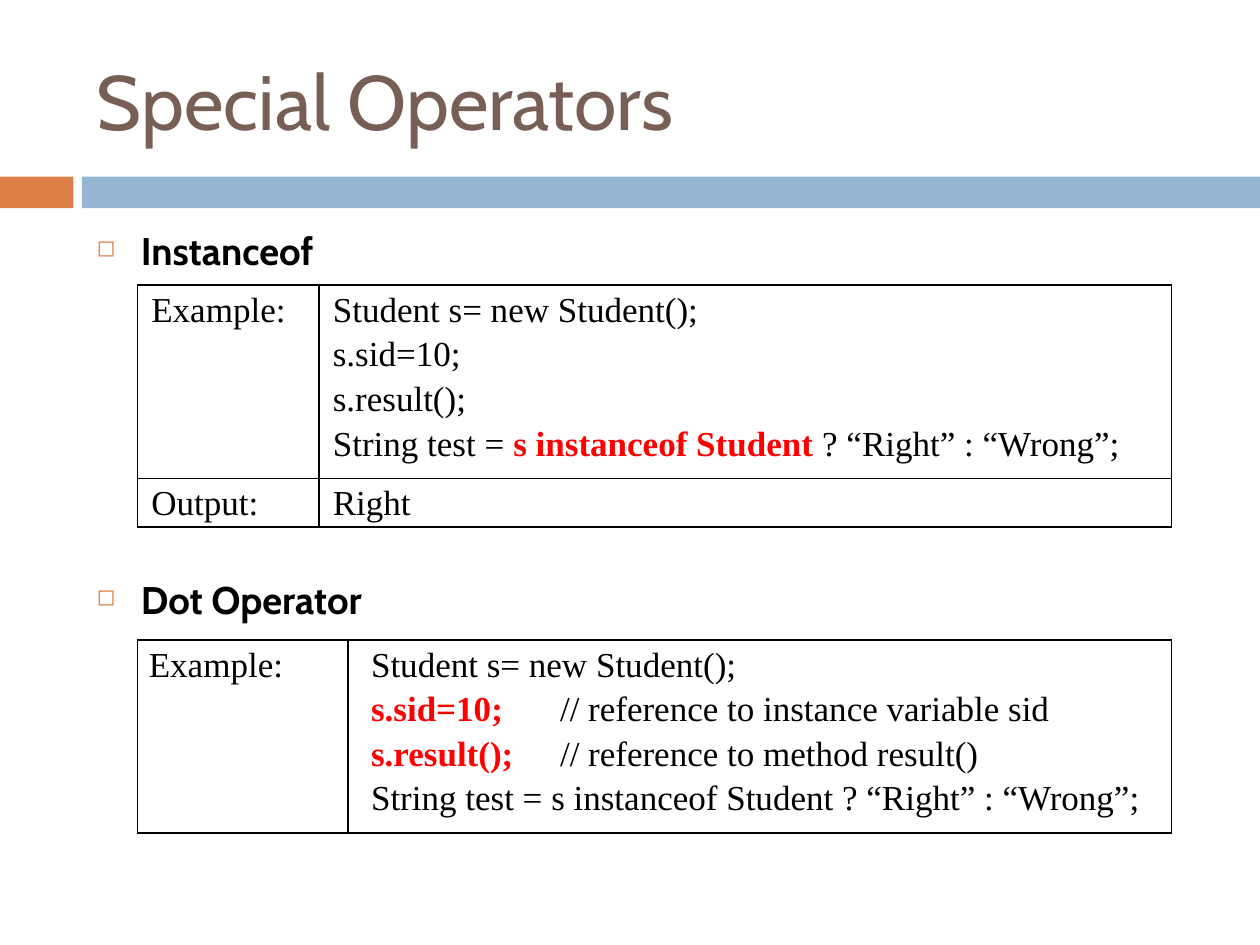
from lxml import etree
from pptx import Presentation
from pptx import util as u
from pptx.dml import color
from pptx.enum import shapes, text
from pptx.oxml import ns

BLACK, RED, ORANGE, BLUE, BROWN = "000000", "FF0000", "DD8047", "94B6D2", "775F55"
HEADING = {"name": "Cabin", "size": u.Pt(22), "bold": True}
CODE = {"name": "Times New Roman", "size": u.Pt(20), "bold": False}
MARKED = {**CODE, "bold": True}
NEW_STUDENT = [("Student s= new Student();", False)]


def rgb(value):
    return color.RGBColor.from_string(value)


def set_values(target, values):
    for name, value in values.items():
        setattr(target, name, value)


def add_span(para, words, style, colour):
    span = para.add_run()
    span.text = words
    set_values(span.font, style)
    span.font.color.rgb = rgb(colour)


def add_child(parent, tag, position=None, **attributes):
    child = etree.Element(ns.qn(tag), attributes)
    parent.insert(len(parent) if position is None else position, child)
    return child


def add_bar(page, left, width, colour):
    bar = page.shapes.add_shape(shapes.MSO_SHAPE.RECTANGLE, u.Cm(left), u.Cm(3.56),
                                u.Cm(width), u.Cm(0.64))
    bar.shadow.inherit = False
    bar.fill.solid()
    bar.fill.fore_color.rgb = rgb(colour)
    bar.line.fill.background()


def format_title(page, words):
    title = page.shapes.title
    set_values(title, {"left": u.Cm(1.7), "top": u.Cm(0.64),
                       "width": u.Cm(22.66), "height": u.Cm(2.74)})
    title.text_frame.vertical_anchor = text.MSO_ANCHOR.MIDDLE
    para = title.text_frame.paragraphs[0]
    para.alignment = text.PP_ALIGN.LEFT
    add_span(para, words, {"name": "Cabin", "size": u.Pt(44)}, BROWN)


def add_bullet(para):
    properties = para._p.get_or_add_pPr()
    properties.set("marL", str(u.Cm(0.89)))
    properties.set("indent", str(-u.Cm(0.89)))
    add_child(add_child(properties, "a:buClr"), "a:srgbClr", val=ORANGE)
    add_child(properties, "a:buSzPct", val="60000")
    add_child(properties, "a:buChar", char="◻")


def add_headings(page, headings, gap):
    box = page.shapes.add_textbox(u.Cm(1.7), u.Cm(4.45), u.Cm(22.66), u.Cm(12.5))
    frame = box.text_frame
    frame.word_wrap = True
    for index, words in enumerate(headings):
        para = frame.add_paragraph() if index else frame.paragraphs[0]
        if index:
            para.space_before = u.Pt(gap)
        add_bullet(para)
        add_span(para, words, HEADING, BLACK)


def add_borders(cell):
    properties = cell._tc.get_or_add_tcPr()
    for position, side in enumerate(("a:lnL", "a:lnR", "a:lnT", "a:lnB")):
        line = add_child(properties, side, position, w=str(u.Pt(1)))
        add_child(add_child(line, "a:solidFill"), "a:srgbClr", val=BLACK)


def fill_cell(cell, lines, margin, indent):
    """Write lines, each a list of (words, is_marked) parts, into a bordered cell."""
    set_values(cell, {"margin_left": u.Cm(margin), "margin_right": u.Cm(margin),
                      "margin_top": 0, "margin_bottom": 0})
    cell.fill.background()
    add_borders(cell)
    for index, parts in enumerate(lines):
        frame = cell.text_frame
        para = frame.add_paragraph() if index else frame.paragraphs[0]
        set_values(para, {"alignment": text.PP_ALIGN.JUSTIFY, "line_spacing": 1.15})
        para._p.get_or_add_pPr().set("marL", str(u.Cm(indent)))
        for words, marked in parts:
            add_span(para, words, MARKED if marked else CODE, RED if marked else BLACK)


def add_code_table(page, top, label_width, heights, rows, margin, indent=0):
    """Add a table from (label, code lines) rows; indent applies to the code."""
    width = 20.85
    frame = page.shapes.add_table(len(rows), 2, u.Cm(2.77), u.Cm(top),
                                  u.Cm(width), u.Cm(sum(heights)))
    table = frame.table
    set_values(table, {"first_row": False, "horz_banding": False})
    table.columns[0].width = u.Cm(label_width)
    table.columns[1].width = u.Cm(width - label_width)
    for index, (label, lines) in enumerate(rows):
        table.rows[index].height = u.Cm(heights[index])
        fill_cell(table.cell(index, 0), [[(label, False)]], margin, 0)
        fill_cell(table.cell(index, 1), lines, margin, indent)


def main():
    deck = Presentation()
    deck.slide_width, deck.slide_height = u.Cm(25.4), u.Cm(19.05)
    page = deck.slides.add_slide(deck.slide_layouts.get_by_name("Title Only"))
    add_bar(page, 0, 1.48, ORANGE)
    add_bar(page, 1.65, 23.75, BLUE)
    format_title(page, "Special Operators")
    add_headings(page, ["Instanceof", "Dot Operator"], gap=173)

    instanceof_code = [
        NEW_STUDENT,
        [("s.sid=10;", False)],
        [("s.result();", False)],
        [("String test = ", False), ("s instanceof Student ", True),
         ("? “Right” : “Wrong”;", False)],
    ]
    add_code_table(page, 5.75, 3.66, [3.6, 0.9],
                   [("Example:", instanceof_code), ("Output:", [[("Right", False)]])],
                   margin=0.28)

    dot_code = [
        NEW_STUDENT,
        [("s.sid=10;", True), ("\t// reference to instance variable sid", False)],
        [("s.result();", True), ("\t// reference to method result()", False)],
        [("String test = s instanceof Student ? “Right” : “Wrong”;", False)],
    ]
    add_code_table(page, 12.9, 4.25, [3.6], [("Example:", dot_code)],
                   margin=0.23, indent=0.23)
    deck.save("out.pptx")


if __name__ == "__main__":
    main()
